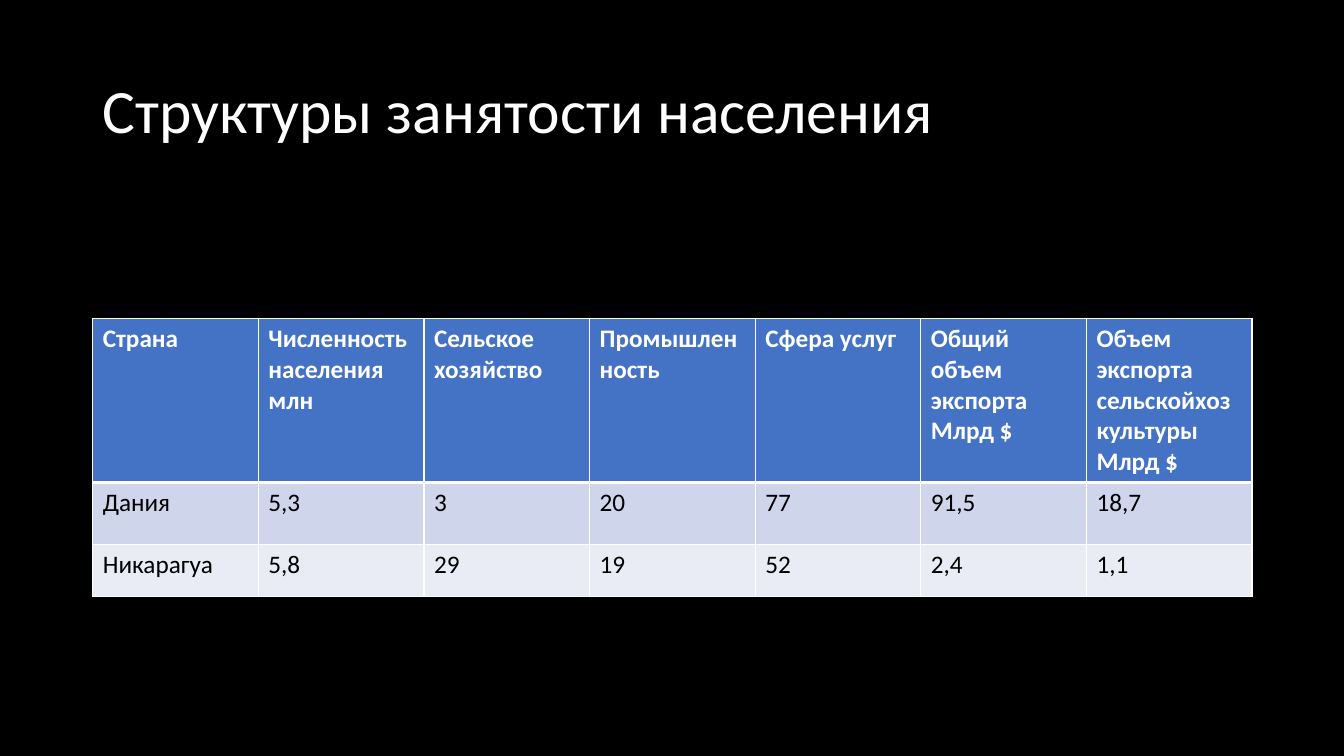
from lxml import etree
from pptx import Presentation
from pptx.dml.color import RGBColor
from pptx.enum.text import MSO_ANCHOR, PP_ALIGN
from pptx.oxml.ns import qn
from pptx.util import Inches, Pt

WHITE, BLACK, HEADER_BLUE = "FFFFFF", "000000", "4472C4"
BAND_FILLS = ["CFD5EA", "E9EBF5"]


def write(frame, text, size=18, color=BLACK, bold=False, spacing=1.0):
    frame.text = text
    frame.word_wrap = True
    for paragraph in frame.paragraphs:
        paragraph.alignment = PP_ALIGN.LEFT
        paragraph.line_spacing = spacing
        font = paragraph.runs[0].font
        font.name, font.size, font.bold = "Calibri", Pt(size), bold
        font.color.rgb = RGBColor.from_string(color)


def add_border(cell, side, width):
    line = etree.SubElement(cell._tc.get_or_add_tcPr(), qn(f"a:ln{side}"), w=str(Pt(width)))
    fill = etree.SubElement(line, qn("a:solidFill"))
    etree.SubElement(fill, qn("a:srgbClr"), val=WHITE)


# Slide with black background
prs = Presentation()
prs.slide_width, prs.slide_height = Inches(13.33), Inches(7.5)
slide = prs.slides.add_slide(prs.slide_layouts[5])
slide.background.fill.solid()
slide.background.fill.fore_color.rgb = RGBColor.from_string(BLACK)

# Title
title = slide.shapes.title
title.left, title.top = Inches(0.92), Inches(0.4)
title.width, title.height = Inches(11.5), Inches(1.45)
title.text_frame.vertical_anchor = MSO_ANCHOR.MIDDLE
write(title.text_frame, "Структуры занятости населения", size=44, color=WHITE, spacing=0.9)

# Employment table: header row, then one row per country
employment = [
    ["Страна", "Численность населения\nмлн", "Сельское хозяйство", "Промышленность",
     "Сфера услуг", "Общий объем экспорта\nМлрд $",
     "Объем экспорта сельскойхоз культуры Млрд $"],
    ["Дания", "5,3", "3", "20", "77", "91,5", "18,7"],
    ["Никарагуа", "5,8", "29", "19", "52", "2,4", "1,1"],
]
row_heights = [1.24, 0.62, 0.51]
table = slide.shapes.add_table(len(employment), len(employment[0]), Inches(0.92),
                               Inches(3.16), Inches(11.5), Inches(2.74)).table

for row, (values, height) in enumerate(zip(employment, row_heights)):
    table.rows[row].height = Inches(height)
    is_header = row == 0
    for column, value in enumerate(values):
        cell = table.cell(row, column)
        write(cell.text_frame, value, color=WHITE if is_header else BLACK, bold=is_header)
        # The rule between header and body is thicker
        for side in "LRTB":
            under_header = (row, side) in [(0, "B"), (1, "T")]
            add_border(cell, side, 3 if under_header else 1)
        cell.fill.solid()
        cell.fill.fore_color.rgb = RGBColor.from_string(
            HEADER_BLUE if is_header else BAND_FILLS[row - 1])

prs.save("out.pptx")
